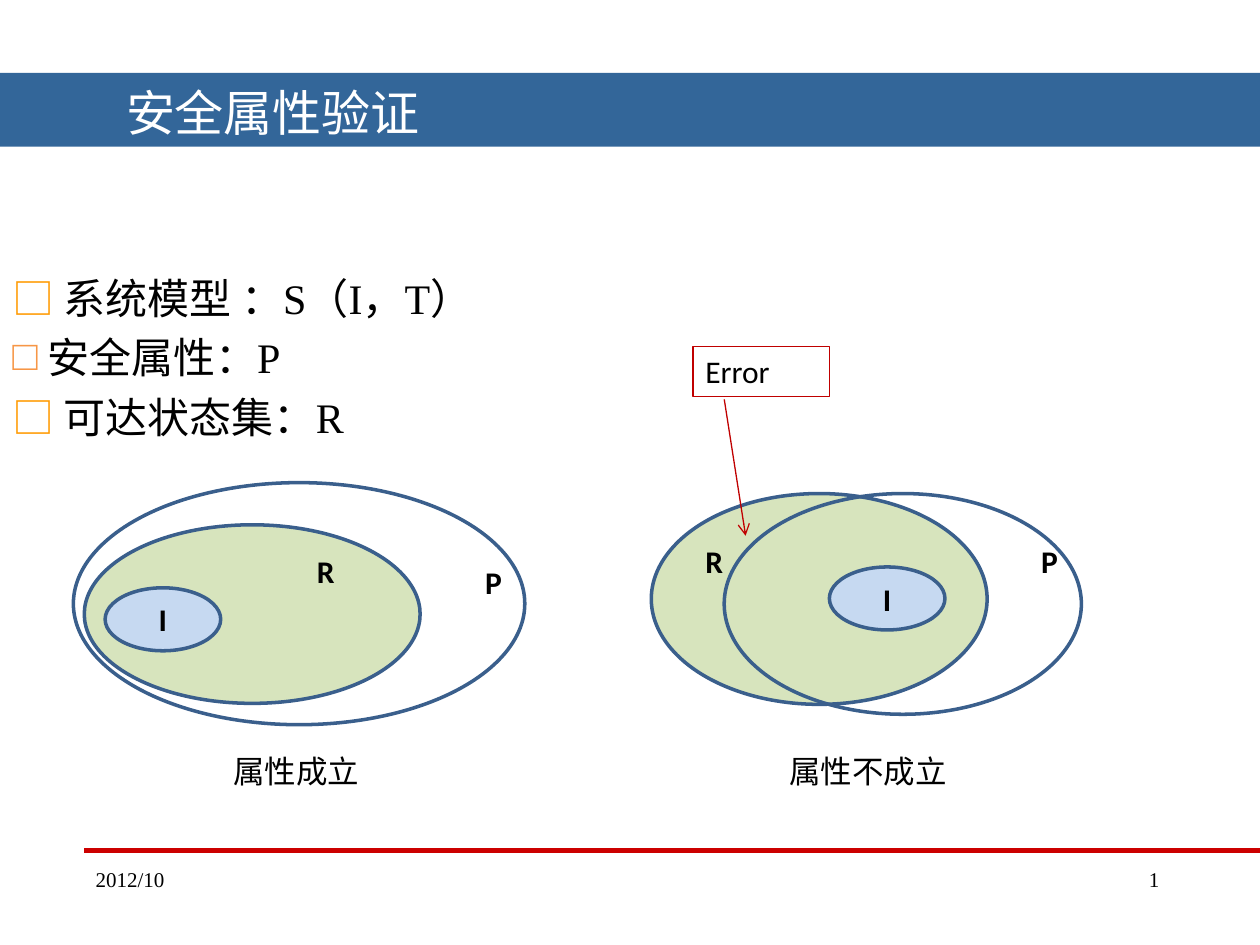
from lxml import etree
from pptx import Presentation
from pptx.dml.color import RGBColor
from pptx.enum.shapes import MSO_CONNECTOR as Line, MSO_SHAPE as Shape
from pptx.enum.text import MSO_ANCHOR as Anchor, MSO_AUTO_SIZE as Fit, PP_ALIGN as Align
from pptx.oxml.ns import qn
from pptx.util import Cm, Pt

WIDTH, HEIGHT = 25.4, 19.05
BLACK, OUTLINE, ERROR = "000000", "3A5F8C", "C00000"
SERIF = "Times New Roman"


def colour(value):
    return RGBColor.from_string(value)


def lengths(*values):
    return [Cm(value) for value in values]


def add_span(para, text, size, font, ink=BLACK, bold=False):
    span = para.add_run()
    span.text = text
    span.font.size, span.font.name, span.font.bold = Pt(size), font, bold
    span.font.color.rgb = colour(ink)


def set_frame(frame, wrap=True, margins=None, anchor=Anchor.TOP):
    frame.auto_size, frame.word_wrap = Fit.NONE, wrap
    frame.vertical_anchor = anchor
    if margins:
        (frame.margin_left, frame.margin_top,
         frame.margin_right, frame.margin_bottom) = lengths(*margins)


def set_para(para, spacing):
    para.alignment = Align.LEFT
    para.line_spacing = Pt(spacing)
    para.space_before = para.space_after = Pt(0)


def place(shape, box):
    shape.left, shape.top, shape.width, shape.height = lengths(*box)


def add_text(page, box, text, size=18, font="Calibri", bold=False, **frame_options):
    label = page.shapes.add_textbox(*lengths(*box))
    set_frame(label.text_frame, **frame_options)
    add_span(label.text_frame.paragraphs[0], text, size, font, bold=bold)
    return label


def add_plain(page, kind, box, fill=None, line=None, width=2):
    shape = page.shapes.add_shape(kind, *lengths(*box))
    shape.shadow.inherit = False
    if fill:
        shape.fill.solid()
        shape.fill.fore_color.rgb = colour(fill)
    else:
        shape.fill.background()
    if line:
        shape.line.color.rgb, shape.line.width = colour(line), Pt(width)
    else:
        shape.line.fill.background()
    return shape


def add_line(page, start, end, ink, width, arrow=False):
    line = page.shapes.add_connector(Line.STRAIGHT, *lengths(*start, *end))
    line.line.color.rgb, line.line.width = colour(ink), Pt(width)
    if arrow:
        etree.SubElement(line.line._get_or_add_ln(), qn("a:tailEnd"), type="arrow")
    etree.SubElement(line._element.spPr, qn("a:effectLst"))


def add_header(page, box, text):
    x, y, width, height = box
    add_plain(page, Shape.RECTANGLE, box, fill="336699")
    title = page.shapes.title
    page.shapes._spTree.append(title._element)  # bring in front of the band
    place(title, (x + 2.54, y + 0.18, 6, 1.24))
    set_frame(title.text_frame, wrap=False, margins=(0, 0, 0, 0.13))
    para = title.text_frame.paragraphs[0]
    set_para(para, 34)
    add_span(para, text, 28, "Arial Narrow", "FFFFFF")


def add_definitions(page, box):
    body = page.placeholders[1]
    place(body, box)
    frame = body.text_frame
    set_frame(frame, margins=(0, 0, 0, 0.13))
    # line spacing, bullet character, lead text and its colour, term, definition
    rows = [(36, None, "□ ", "FF9A00", "系统模型 ", "：S（I，T）"),
            (34, "□", " ", "F79646", "安全属性：", "P"),
            (34, None, "□ ", "FF9A00", "可达状态", "集：R")]
    for index, (spacing, bullet, lead, ink, term, definition) in enumerate(rows):
        para = frame.add_paragraph() if index else frame.paragraphs[0]
        set_para(para, spacing)
        props = para._p.get_or_add_pPr()
        props.set("marL", "0")
        props.set("indent", "0")
        if bullet:
            etree.SubElement(props, qn("a:buFont"), typeface=SERIF)
            etree.SubElement(props, qn("a:buChar"), char=bullet)
        else:
            etree.SubElement(props, qn("a:buNone"))
        add_span(para, lead, 24, "Arial", ink)
        add_span(para, term, 24, "Arial")
        add_span(para, definition, 24, SERIF)


def add_sets(page, origin, reachable, initial, safe, label_r, label_p, caption, text):
    """Draw reachable states R, initial states I and property P from one origin."""
    def at(x, y, width, height):
        return origin[0] + x, origin[1] + y, width, height

    add_plain(page, Shape.OVAL, at(*reachable), "D7E4BD", OUTLINE)
    core = add_plain(page, Shape.OVAL, at(*initial, 2.33, 1.27), "C6D9F1", OUTLINE)
    set_frame(core.text_frame, anchor=Anchor.MIDDLE)
    para = core.text_frame.paragraphs[0]
    para.alignment = Align.CENTER
    add_span(para, "I", 18, "Calibri", bold=True)
    add_plain(page, Shape.OVAL, at(*safe), line=OUTLINE)
    for letter, spot in (("R", label_r), ("P", label_p)):
        add_text(page, at(*spot, 1.07, 1.02), letter, bold=True)
    add_text(page, at(*caption, 4.87, 1.02), text)


def add_error(page, box):
    x, y, width, height = box
    note = add_plain(page, Shape.RECTANGLE, box, line=ERROR, width=0.75)
    set_frame(note.text_frame)
    para = note.text_frame.paragraphs[0]
    para.alignment = Align.LEFT
    add_span(para, "Error", 18, "Calibri")
    add_line(page, (x + 0.63, y + height + 0.05), (x + 1.06, y + 3.82),
             ERROR, 0.75, arrow=True)


def add_footer(page, box):
    x, y, width, height = box
    add_line(page, (x, y), (x + width, y), "CC0000", 3)
    for left, size, text in ((0.23, 1.4, "2012/10"), (21.46, 0.21, "1")):
        label = add_text(page, (x + left, y + 0.34, size, height), text, 12, SERIF,
                         wrap=False, margins=(0, 0, 0, 0.13))
        set_para(label.text_frame.paragraphs[0], 14)


def main():
    deck = Presentation()
    deck.slide_width, deck.slide_height = lengths(WIDTH, HEIGHT)
    page = deck.slides.add_slide(deck.slide_layouts[1])
    add_header(page, (0, 1.47, WIDTH, 1.49), "安全属性验证")
    add_definitions(page, (0.25, 5.23, 24.5, 3.9))
    # Property holds: R lies inside P
    add_sets(page, (1.48, 9.73), (0.22, 0.85, 6.77, 3.6), (0.64, 2.12),
             (0, 0, 9.1, 4.88), (4.66, 1.27), (8.05, 1.49), (2.97, 5.3), "属性成立")
    # Property fails: part of R lies outside P
    add_sets(page, (13.13, 9.95), (0, 0, 6.77, 4.25), (3.59, 1.48),
             (1.47, 0, 7.2, 4.45), (0.84, 0.85), (7.61, 0.85), (2.53, 5.08), "属性不成立")
    add_error(page, (13.97, 6.98, 2.75, 1.02))
    add_footer(page, (1.7, 17.14, WIDTH - 1.7, 0.64))
    deck.save("out.pptx")


if __name__ == "__main__":
    main()
